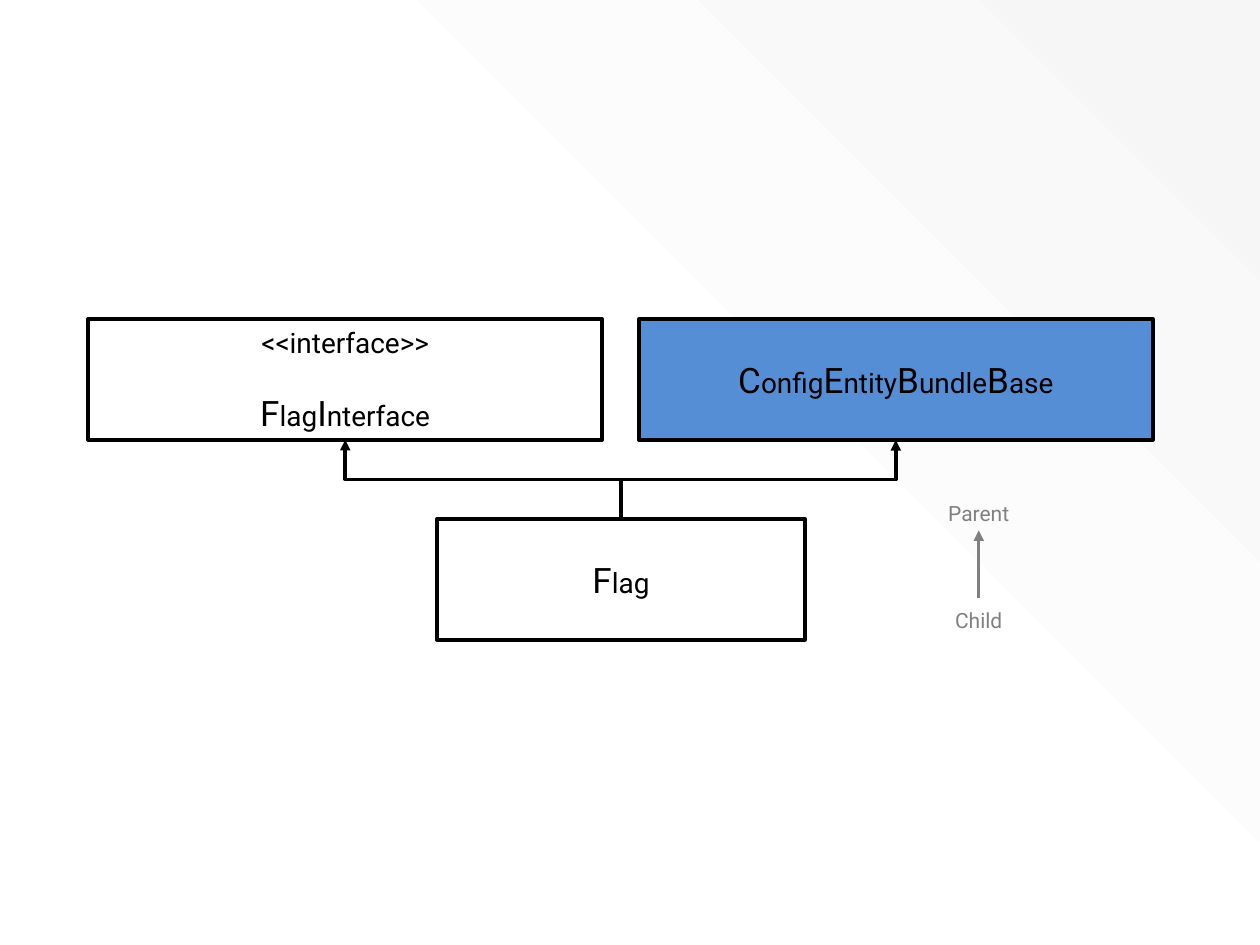
from itertools import groupby

from pptx import Presentation
from pptx.dml.color import RGBColor
from pptx.enum.shapes import MSO_CONNECTOR, MSO_SHAPE
from pptx.enum.text import MSO_ANCHOR, MSO_AUTO_SIZE, PP_ALIGN
from pptx.oxml import parse_xml
from pptx.oxml.ns import nsdecls, qn
from pptx.util import Cm, Pt

RECT = MSO_SHAPE.RECTANGLE
ELBOW, STRAIGHT = MSO_CONNECTOR.ELBOW, MSO_CONNECTOR.STRAIGHT
MIDDLE, CENTER = MSO_ANCHOR.MIDDLE, PP_ALIGN.CENTER
GROW = MSO_AUTO_SIZE.SHAPE_TO_FIT_TEXT
TOP, BOTTOM = 0, 2  # connection sites of a rectangle

WIDE, HIGH = 25.4, 19.05
BLACK, GREY, BLUE = "000000", "808080", "558ED5"


def color(code):
    return RGBColor.from_string(code)


def node(tag, inner=""):
    return parse_xml(f"<a:{tag} {nsdecls('a')}>{inner}</a:{tag.split()[0]}>")


class Diagram:
    """Holds the text and line style and the slide being drawn."""
    font, big, small, note = "Roboto", Pt(20), Pt(16), Pt(12)
    gap, weight = Pt(18.75), Pt(2)

    def __init__(self, slide):
        self.shapes = slide.shapes

    def rect(self, left, top, width, height):
        shape = self.shapes.add_shape(
            RECT, Cm(left), Cm(top), Cm(width), Cm(height))
        shape.shadow.inherit = False
        return shape

    def backdrop(self):
        """Shade the page in a radial gradient from the lower left corner."""
        shape = self.rect(0, 0, WIDE, HIGH)
        shape.line.fill.background()
        shape.fill.gradient()
        stops = zip(shape.fill.gradient_stops, (0.49, 1), ("FFFFFF", "F6F6F6"))
        for stop, place, code in stops:
            stop.position = place
            stop.color.rgb = color(code)
        grad = shape._element.spPr.find(qn("a:gradFill"))
        grad.replace(grad.find(qn("a:lin")), node(
            'path path="circle"', '<a:fillToRect t="100000" r="100000"/>'))

    def style(self, run, size, code):
        run.font.name, run.font.size = self.font, size
        run.font.color.rgb = color(code)

    def box(self, lines, left, top, width, height, fill=None):
        """Draw a class box whose capitals are larger than its other letters."""
        shape = self.rect(left, top, width, height)
        if fill:
            shape.fill.solid()
            shape.fill.fore_color.rgb = color(fill)
        else:
            shape.fill.background()
        shape.line.color.rgb = color(BLACK)
        shape.line.width = self.weight
        frame = shape.text_frame
        frame.word_wrap, frame.vertical_anchor = True, MIDDLE
        for i, line in enumerate(lines):
            para = frame.add_paragraph() if i else frame.paragraphs[0]
            para.alignment = CENTER
            if i:
                para.space_before = self.gap
            for upper, chars in groupby(line, str.isupper):
                run = para.add_run()
                run.text = "".join(chars)
                self.style(run, self.big if upper else self.small, BLACK)
        return shape

    def label(self, text, left, top, width, height):
        shape = self.shapes.add_textbox(
            Cm(left), Cm(top), Cm(width), Cm(height))
        frame = shape.text_frame
        frame.word_wrap, frame.auto_size = True, GROW
        frame.text = text
        para = frame.paragraphs[0]
        para.alignment = CENTER
        self.style(para.runs[0], self.note, GREY)

    def arrow(self, kind, code, x1, y1, x2, y2):
        line = self.shapes.add_connector(kind, x1, y1, x2, y2)
        line.line.color.rgb = color(code)
        line.line.width = self.weight
        line.line._get_or_add_ln().append(node('tailEnd type="triangle"'))
        line._element.spPr.append(node("effectLst"))
        return line

    def inherit(self, child, parent):
        """Join child to parent by an elbow that leaves and arrives upright."""
        x1, y1 = child.left + child.width // 2, child.top
        x2, y2 = parent.left + parent.width // 2, parent.top + parent.height
        line = self.arrow(ELBOW, BLACK, x1, y1, x2, y2)
        line.begin_connect(child, TOP)
        line.end_connect(parent, BOTTOM)
        # An elbow starts sideways, so lay it flat and turn it by 270 degrees.
        midx, midy = (x1 + x2) // 2, (y1 + y2) // 2
        rise, run = (y1 - y2) // 2, (x1 - x2) // 2
        line.begin_x, line.begin_y = midx - rise, midy + run
        line.end_x, line.end_y = midx + rise, midy - run
        line._element.spPr.find(qn("a:xfrm")).set("rot", "16200000")


def main():
    deck = Presentation()
    deck.slide_width, deck.slide_height = Cm(WIDE), Cm(HIGH)
    art = Diagram(deck.slides.add_slide(deck.slide_layouts[6]))
    art.backdrop()

    flag = art.box(["Flag"], 8.81, 10.46, 7.42, 2.44)
    parents = [
        art.box(["<<interface>>", "FlagInterface"], 1.78, 6.43, 10.36, 2.44),
        art.box(["ConfigEntityBundleBase"], 12.88, 6.43, 10.36, 2.44, BLUE),
    ]
    for parent in parents:
        art.inherit(flag, parent)

    art.arrow(STRAIGHT, GREY, Cm(19.73), Cm(12.06), Cm(19.73), Cm(10.69))
    for text, top in (("Parent", 9.96), ("Child", 12.13)):
        art.label(text, 18.32, top, 2.82, 0.76)
    deck.save("out.pptx")


if __name__ == "__main__":
    main()
